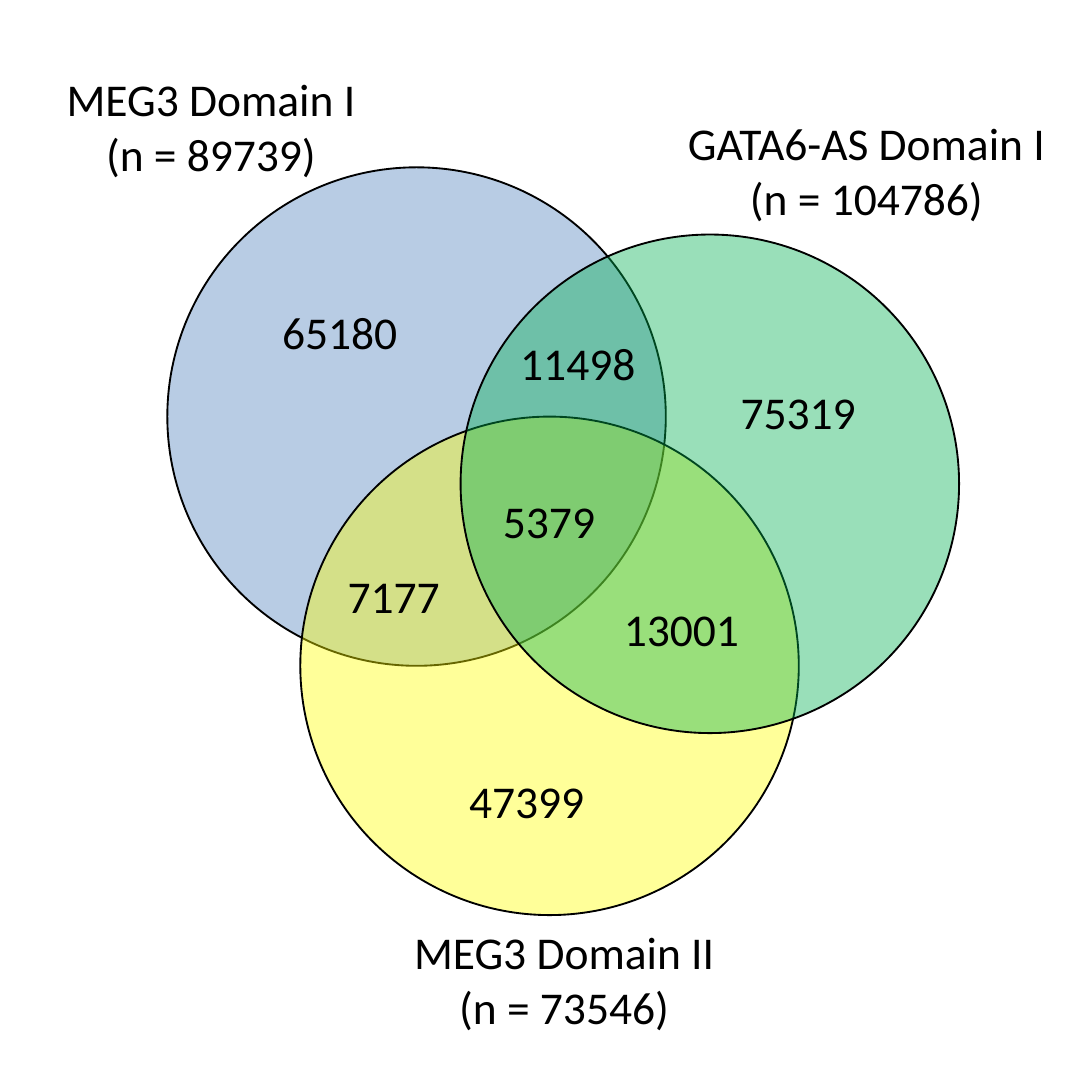
from dataclasses import dataclass

from lxml.etree import SubElement
from pptx import Presentation
from pptx.dml.color import RGBColor as Rgb
from pptx.enum.shapes import MSO_SHAPE as Preset
from pptx.enum.text import MSO_AUTO_SIZE as AutoSize, PP_ALIGN as Align
from pptx.oxml.ns import qn
from pptx.slide import Slide
from pptx.util import Pt


@dataclass(frozen=True)
class Theme:
    font: str = "Calibri"
    text_size: float = 18
    ink: Rgb = Rgb(0x00, 0x00, 0x00)
    blue: Rgb = Rgb(0x4F, 0x81, 0xBD)
    yellow: Rgb = Rgb(0xFF, 0xFF, 0x00)
    green: Rgb = Rgb(0x00, 0xB0, 0x50)
    opacity_percent: int = 40
    outline: float = 0.75


@dataclass(frozen=True)
class GeneSet:
    x: float
    y: float
    color: Rgb


@dataclass(frozen=True)
class Label:
    """Lines of text centred on x, y."""
    lines: tuple[str, ...]
    x: float
    y: float
    width: float


THEME = Theme()
SLIDE_SIDE = 432
DIAMETER = 197.2
CAPTION_WIDTH = 167
LINE_HEIGHT = 21.8
BOX_PADDING = 7.2
DIGIT_WIDTH = 8.6
COUNT_PADDING = 18.2

GENE_SETS = (
    GeneSet(164.8, 164.8, THEME.blue),
    GeneSet(217.4, 263.4, THEME.yellow),
    GeneSet(280.8, 191.4, THEME.green),
)


def count(value: int, x: float, y: float) -> Label:
    digits = str(value)
    return Label((digits,), x, y, DIGIT_WIDTH * len(digits) + COUNT_PADDING)


def caption(name: str, total: int, x: float, y: float) -> Label:
    return Label((name, f"(n = {total})"), x, y, CAPTION_WIDTH)


LABELS = (
    count(65180, 134.4, 131.2),
    count(5379, 217.2, 206),
    count(7177, 155.8, 235.6),
    count(11498, 228.6, 143.4),
    count(13001, 269.6, 248.6),
    count(75319, 315.8, 162.8),
    count(47399, 208.4, 316.8),
    caption("MEG3 Domain I", 89739, 83.5, 50),
    caption("MEG3 Domain II", 73546, 223.2, 387.6),
    caption("GATA6-AS Domain I", 104786, 342.8, 67.4),
)


def draw_gene_set(slide: Slide, gene_set: GeneSet) -> None:
    radius = DIAMETER / 2
    circle = slide.shapes.add_shape(
        Preset.OVAL, Pt(gene_set.x - radius), Pt(gene_set.y - radius),
        Pt(DIAMETER), Pt(DIAMETER))
    circle.shadow.inherit = False
    circle.fill.solid()
    circle.fill.fore_color.rgb = gene_set.color
    fill_color = circle.element.spPr.find(f"{qn('a:solidFill')}/{qn('a:srgbClr')}")
    SubElement(fill_color, qn("a:alpha"), val=str(THEME.opacity_percent * 1000))
    circle.line.color.rgb = THEME.ink
    circle.line.width = Pt(THEME.outline)


def draw_label(slide: Slide, label: Label) -> None:
    height = LINE_HEIGHT * len(label.lines) + BOX_PADDING
    frame = slide.shapes.add_textbox(
        Pt(label.x - label.width / 2), Pt(label.y - height / 2),
        Pt(label.width), Pt(height)).text_frame
    frame.word_wrap = True
    frame.auto_size = AutoSize.SHAPE_TO_FIT_TEXT
    frame.text = "\n".join(label.lines)
    for paragraph in frame.paragraphs:
        paragraph.alignment = Align.CENTER
        paragraph.font.name = THEME.font
        paragraph.font.size = Pt(THEME.text_size)
        paragraph.font.color.rgb = THEME.ink


def main() -> None:
    deck = Presentation()
    deck.slide_width = deck.slide_height = Pt(SLIDE_SIDE)
    slide = deck.slides.add_slide(deck.slide_layouts[6])
    for gene_set in GENE_SETS:
        draw_gene_set(slide, gene_set)
    for label in LABELS:
        draw_label(slide, label)
    deck.save("out.pptx")


if __name__ == "__main__":
    main()
